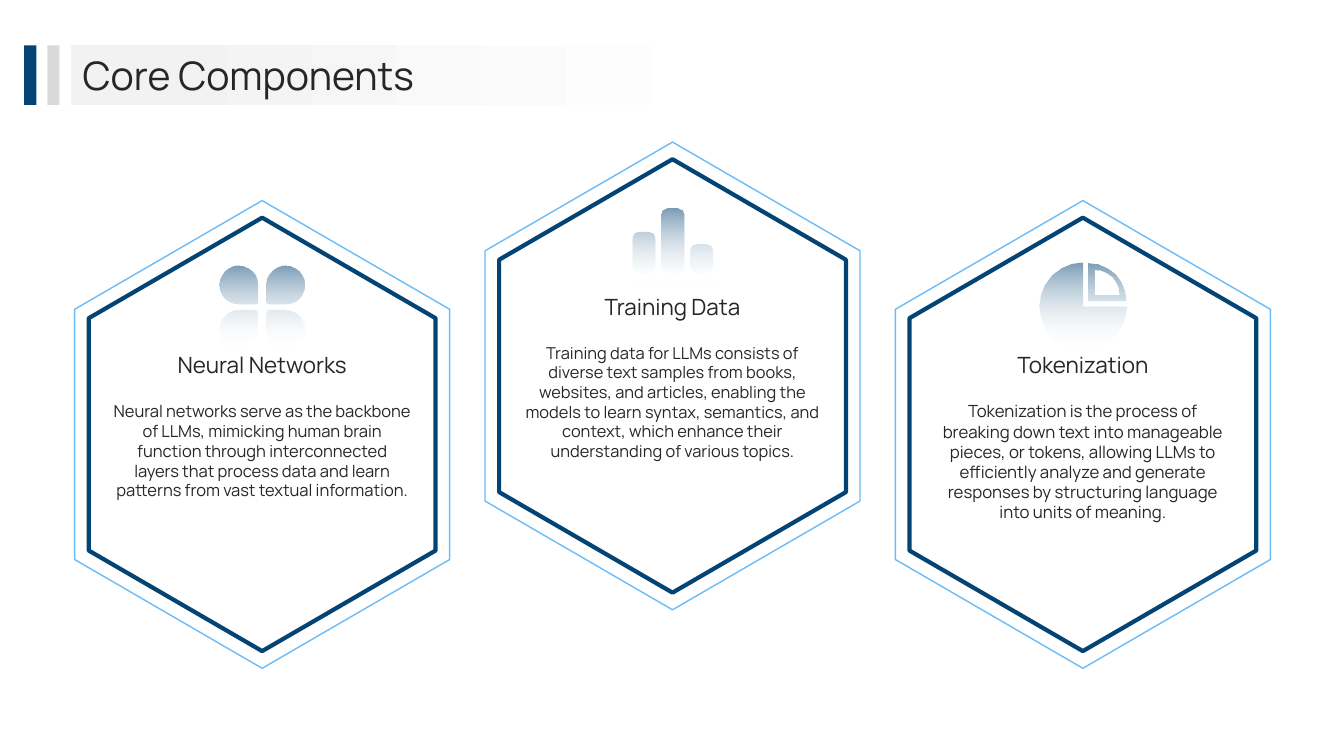
from math import cos, radians, sin

from lxml.etree import SubElement
from pptx import Presentation
from pptx.dml.color import RGBColor
from pptx.enum.shapes import MSO_SHAPE as SHAPE
from pptx.enum.text import MSO_ANCHOR as ANCHOR, PP_ALIGN as ALIGN
from pptx.oxml.ns import qn
from pptx.util import Inches, Pt

NAVY, SKY, GREY, INK, WHITE = "044475", "69BBFA", "D9D9D9", "262626", "FFFFFF"
TEXT_W = 2.95


def rgb(color):
    return RGBColor.from_string(color)


def fill_gradient(sp, stops, angle):
    """Fill with (position, colour, alpha) stops; the angle runs counter-clockwise."""
    sp.fill.gradient()
    sp.fill.gradient_angle = angle
    for stop, (position, color, _) in zip(sp.fill.gradient_stops, stops):
        stop.position = position
        stop.color.rgb = rgb(color)
    for clr, (_, _, alpha) in zip(sp._element.spPr.iter(qn("a:srgbClr")), stops):
        if alpha < 1:
            SubElement(clr, qn("a:alpha")).set("val", str(round(alpha * 100000)))


def add_bar(slide, left, width, color=None):
    sp = slide.shapes.add_shape(SHAPE.RECTANGLE, Inches(left), Inches(0.45),
                                Inches(width), Inches(0.59))
    sp.shadow.inherit = False
    sp.line.fill.background()
    if color:
        sp.fill.solid()
        sp.fill.fore_color.rgb = rgb(color)
    return sp


def add_hexagon(slide, cx, cy, length, width, color, weight):
    """Add a hexagon that stands on a corner, centred on (cx, cy)."""
    sp = slide.shapes.add_shape(SHAPE.HEXAGON, Inches(cx - length / 2),
                                Inches(cy - width / 2), Inches(length), Inches(width))
    sp.rotation = 90
    sp.adjustments[0] = 0.29
    sp.shadow.inherit = False
    sp.fill.solid()
    sp.fill.fore_color.rgb = rgb(WHITE)
    sp.line.color.rgb = rgb(color)
    sp.line.width = Pt(weight)


def add_text(slide, text, left, top, width, height, size,
             align=ALIGN.CENTER, anchor=ANCHOR.MIDDLE):
    box = slide.shapes.add_textbox(Inches(left), Inches(top), Inches(width), Inches(height))
    tf = box.text_frame
    frame = {"word_wrap": True, "vertical_anchor": anchor, "margin_left": 0,
             "margin_right": 0, "margin_top": 0, "margin_bottom": 0}
    for name, value in frame.items():
        setattr(tf, name, value)
    p = tf.paragraphs[0]
    p.alignment = align
    r = p.add_run()
    r.text = text
    for name, value in {"name": "Manrope", "size": Pt(size)}.items():
        setattr(r.font, name, value)
    r.font.color.rgb = rgb(INK)


def arc(cx, cy, radius, start, end):
    """Return points along an arc; angles in degrees, clockwise from the right."""
    step = 15 if radius > 0.1 else 45
    angles = [radians(a) for a in range(start, end + 1, step)]
    return [(cx + radius * cos(a), cy + radius * sin(a)) for a in angles]


def rounded(x, y, w, h, radii):
    """Return a rectangle outline with radii from the top left corner clockwise."""
    tl, tr, br, bl = radii
    return (arc(x + tl, y + tl, tl, 180, 270) + arc(x + w - tr, y + tr, tr, 270, 360)
            + arc(x + w - br, y + h - br, br, 0, 90) + arc(x + bl, y + h - bl, bl, 90, 180))


def petals():
    w, h, r, inner = 0.38, 0.39, 0.19, 0.03
    corners = [(-0.42, -0.41, 2), (0.04, -0.41, 3), (-0.42, 0.03, 1), (0.04, 0.03, 0)]
    return [rounded(x, y, w, h, [inner if i == sharp else r for i in range(4)])
            for x, y, sharp in corners]


def bars():
    tops, bottom = (-0.16, -0.39, -0.04), 0.24
    base = rounded(-0.42, 0.32, 0.85, 0.07, [0.03] * 4)
    return [base] + [rounded(-0.4 + i * 0.285, top, 0.23, bottom - top, [0.06] * 4)
                     for i, top in enumerate(tops)]


def pie():
    def quarter(offset, radius):
        return [(offset, -offset)] + arc(offset, -offset, radius, 270, 360)
    return [[(0, 0)] + arc(0, 0, 0.43, 0, 270), quarter(0.05, 0.375), quarter(0.11, 0.245)]


def add_icon(slide, outlines, cx, cy):
    placed = [[(Inches(cx + x), Inches(cy + y)) for x, y in line] for line in outlines]
    builder = slide.shapes.build_freeform(*placed[0][0], scale=1.0)
    for i, points in enumerate(placed):
        if i:
            builder.move_to(*points[0])
        builder.add_line_segments(points[1:], close=True)
    sp = builder.convert_to_shape()
    sp.shadow.inherit = False
    sp.line.fill.background()
    fill_gradient(sp, [(0, NAVY, 0.53), (1, WHITE, 0)], 270)


def add_card(slide, cx, cy, icon, title, body, size):
    add_hexagon(slide, cx, cy, 4.64, 3.72, SKY, 1)
    add_hexagon(slide, cx, cy, 4.3, 3.44, NAVY, 3)
    add_icon(slide, icon, cx, cy - 1.27)
    left = cx - TEXT_W / 2
    add_text(slide, title, left, cy - 0.97, TEXT_W, 0.56, 16)
    add_text(slide, body, left, cy - 0.33, TEXT_W, 1.62, size, anchor=ANCHOR.TOP)


def add_header(slide, title):
    band = add_bar(slide, 0.7, 7.09)
    fill_gradient(band, [(0.1, "F2F2F2", 1), (0.93, WHITE, 1)], 0)
    add_text(slide, title, 0.82, 0.49, 11.78, 0.51, 28, align=ALIGN.LEFT)
    add_bar(slide, 0.24, 0.12, NAVY)
    add_bar(slide, 0.47, 0.12, GREY)


def main():
    prs = Presentation()
    prs.slide_width, prs.slide_height = Inches(13.33), Inches(7.5)
    slide = prs.slides.add_slide(prs.slide_layouts[6])
    cards = [
        (4.31, petals(), "Neural Networks",
         "Neural networks serve as the backbone of LLMs, mimicking human brain function "
         "through interconnected layers that process data and learn patterns from vast "
         "textual information.", 11.8),
        (3.73, bars(), "Training Data",
         "Training data for LLMs consists of diverse text samples from books, websites, "
         "and articles, enabling the models to learn syntax, semantics, and context, "
         "which enhance their understanding of various topics.", 11.7),
        (4.31, pie(), "Tokenization",
         "Tokenization is the process of breaking down text into manageable pieces, or "
         "tokens, allowing LLMs to efficiently analyze and generate responses by "
         "structuring language into units of meaning.", 12),
    ]
    for i, (cy, *content) in enumerate(cards):
        add_card(slide, 2.6 + i * 4.07, cy, *content)
    add_header(slide, "Core Components")
    prs.save("out.pptx")


if __name__ == "__main__":
    main()
